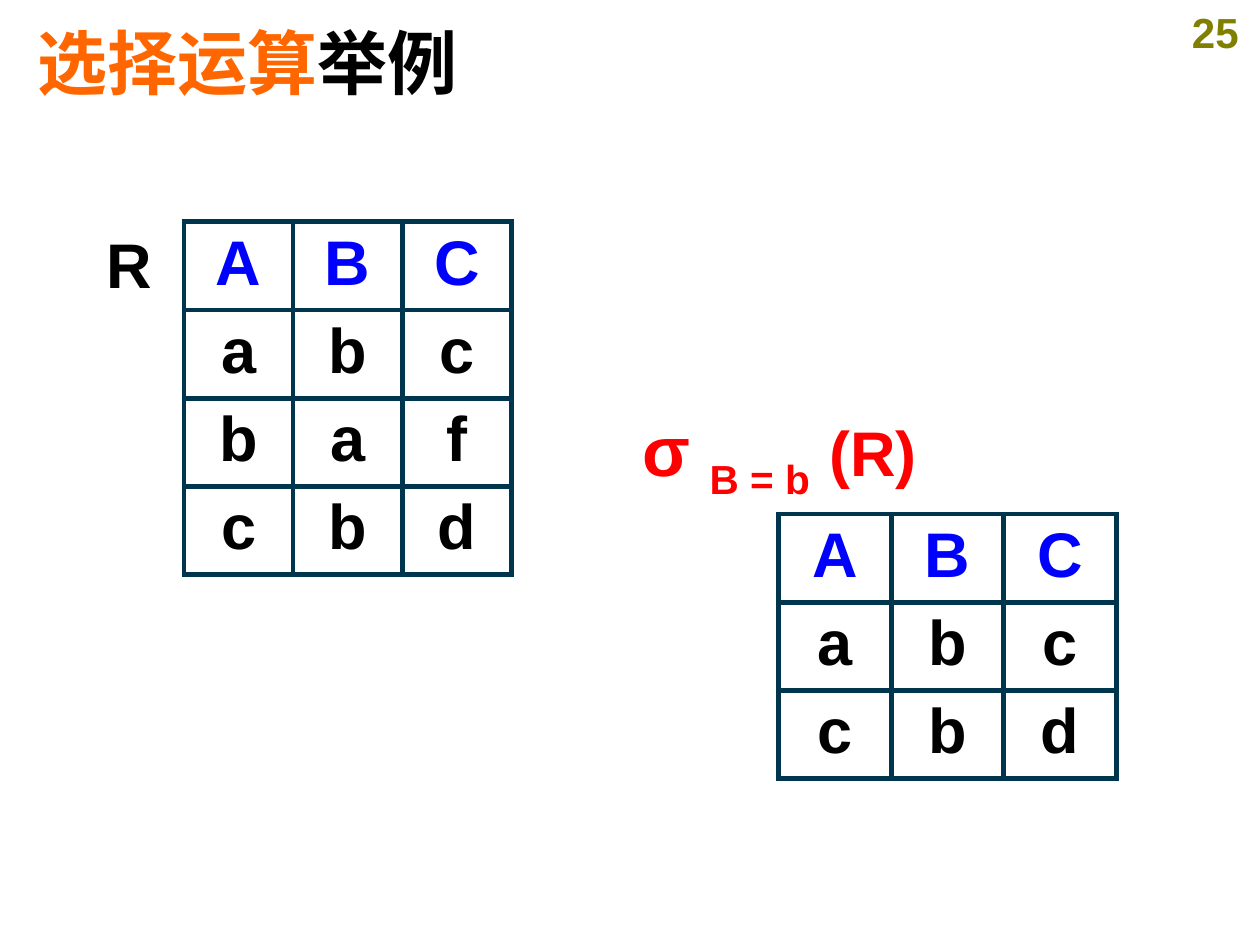
"""Build a slide showing the selection operation on a relation."""
from dataclasses import dataclass

from lxml import etree
from pptx import Presentation
from pptx.dml.color import RGBColor
from pptx.enum.text import MSO_ANCHOR, PP_ALIGN
from pptx.oxml.ns import qn
from pptx.util import Inches, Pt

LEFT, MID = PP_ALIGN.LEFT, PP_ALIGN.CENTER
CENTRE = MSO_ANCHOR.MIDDLE
BLACK, BLUE, RED = "000000", "0000FF", "FF0000"
ORANGE, OLIVE, NAVY = "FF6600", "808000", "00354E"
EDGES = ("a:lnL", "a:lnR", "a:lnT", "a:lnB")
ROW = 0.7


@dataclass
class Span:
    text: str
    size: int
    hue: str
    base: int = 0


@dataclass
class Label:
    box: tuple
    spans: list
    align: int = LEFT
    wrap: bool = True
    top: float = 0.05


@dataclass
class Grid:
    left: float
    top: float
    width: float
    rows: list


LABELS = [
    Label((9.29, 0, 0.71, 0.5), [Span("25", 24, OLIVE)], MID),
    Label((0.75, 1.74, 0.56, 0.7), [Span("R", 36, BLACK)], wrap=False),
    Label((5, 3.12, 2.76, 0.87),
          [Span("σ ", 40, RED), Span("B = b", 40, RED, -25000),
           Span(" ", 40, RED), Span("(R)", 36, RED)], top=0.11),
]
GRIDS = [
    Grid(1.46, 1.76, 2.6, ["ABC", "abc", "baf", "cbd"]),
    Grid(6.18, 4.08, 2.68, ["ABC", "abc", "cbd"]),
]


def paint(code: str) -> RGBColor:
    """Turn a hex string into a colour."""
    return RGBColor.from_string(code)


def write(frame, spans: list, align: int) -> None:
    """Write styled runs into the first paragraph."""
    para = frame.paragraphs[0]
    para.alignment = align
    for span in spans:
        run = para.add_run()
        run.text = span.text
        style = {"name": "Arial", "size": Pt(span.size), "bold": True}
        for key, value in style.items():
            setattr(run.font, key, value)
        run.font.color.rgb = paint(span.hue)
        if span.base:
            run.font._element.set("baseline", str(span.base))


def add_label(slide, label: Label) -> None:
    """Add a text box."""
    frame = slide.shapes.add_textbox(*map(Inches, label.box)).text_frame
    frame.word_wrap = label.wrap
    frame.margin_top = Inches(label.top)
    write(frame, label.spans, label.align)


def add_edges(cell) -> None:
    """Draw the four borders of a cell."""
    props = cell._tc.get_or_add_tcPr()
    for spot, tag in enumerate(EDGES):
        line = etree.Element(qn(tag), w=str(Pt(3)))
        fill = etree.SubElement(line, qn("a:solidFill"))
        etree.SubElement(fill, qn("a:srgbClr"), val=NAVY)
        props.insert(spot, line)


def add_grid(slide, grid: Grid) -> None:
    """Add a relation as a table with a blue heading row."""
    count, span = len(grid.rows), len(grid.rows[0])
    box = (grid.left, grid.top, grid.width, ROW * count)
    table = slide.shapes.add_table(count, span, *map(Inches, box)).table
    table.first_row = table.horz_banding = False
    for i, row in enumerate(grid.rows):
        for j, text in enumerate(row):
            cell = table.cell(i, j)
            cell.fill.background()
            add_edges(cell)
            hue = BLACK if i else BLUE
            write(cell.text_frame, [Span(text, 36, hue)], MID)


def add_title(slide) -> None:
    """Place and write the title."""
    title = slide.shapes.title
    place = {"left": 0.2, "top": 0.21, "width": 9.47, "height": 0.55}
    for key, value in place.items():
        setattr(title, key, Inches(value))
    title.text_frame.vertical_anchor = CENTRE
    spans = [Span("选择运算", 40, ORANGE), Span("举例", 40, BLACK)]
    write(title.text_frame, spans, LEFT)


def main() -> None:
    """Build and save the slide."""
    deck = Presentation()
    deck.slide_width, deck.slide_height = Inches(10), Inches(7.5)
    slide = deck.slides.add_slide(deck.slide_layouts[5])
    add_title(slide)
    for label in LABELS:
        add_label(slide, label)
    for grid in GRIDS:
        add_grid(slide, grid)
    deck.save("out.pptx")


if __name__ == "__main__":
    main()
